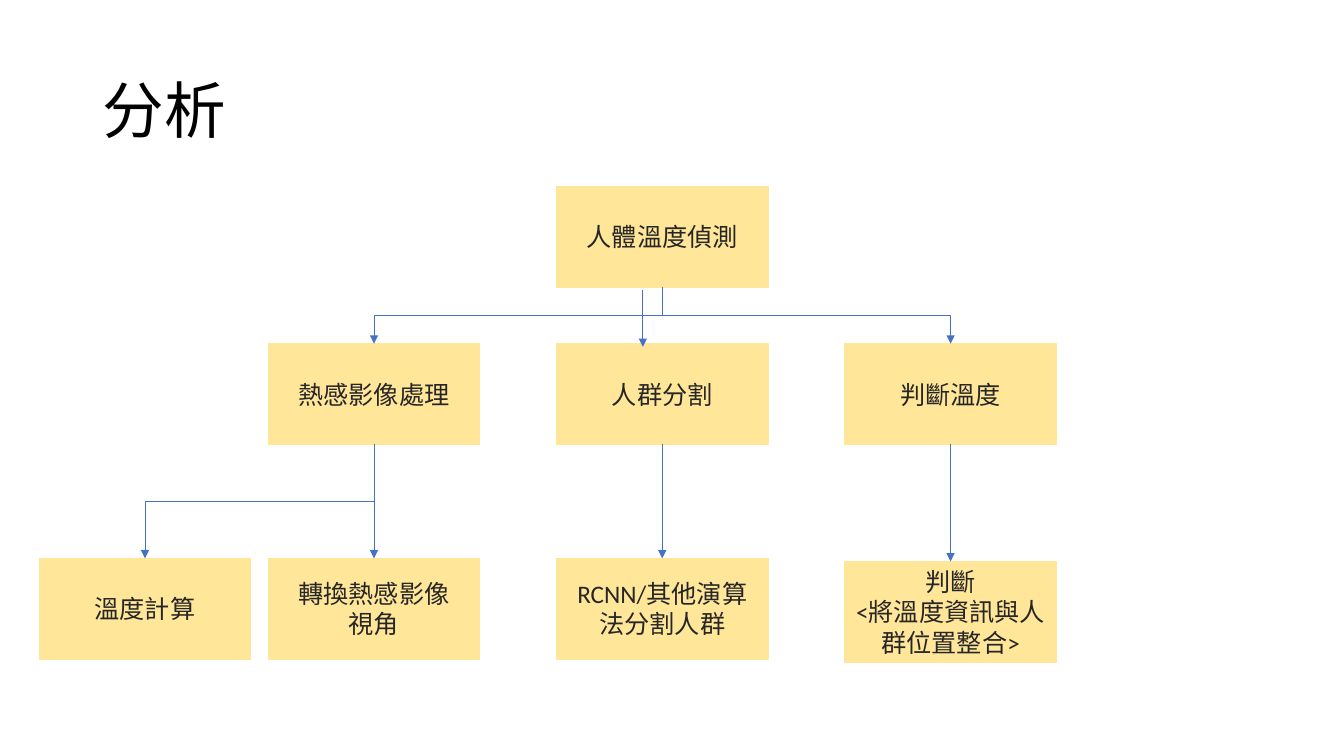
from dataclasses import dataclass

from lxml.etree import SubElement
from pptx import Presentation
from pptx.dml.color import RGBColor
from pptx.enum.shapes import MSO_CONNECTOR, MSO_SHAPE
from pptx.enum.text import MSO_ANCHOR, PP_ALIGN
from pptx.oxml.ns import qn
from pptx.util import Cm, Pt


@dataclass(frozen=True)
class Theme:
    box_fill: RGBColor = RGBColor(0xFF, 0xE6, 0x99)
    box_text: RGBColor = RGBColor(0x26, 0x26, 0x26)
    title_text: RGBColor = RGBColor(0, 0, 0)
    arrow: RGBColor = RGBColor(0x44, 0x72, 0xC4)
    title_font: str = "Noto Sans CJK SC"
    box_font: str = "Calibri"
    title_size: Pt = Pt(44)
    box_size: Pt = Pt(18)
    box_line: Pt = Pt(1)
    arrow_line: Pt = Pt(0.5)


THEME = Theme()

# Grid of the chart, in centimetres
BOX_WIDTH, BOX_HEIGHT = 5.33, 2.54
COLUMNS = [6.76 + 7.265 * index for index in range(3)]
OUTER_COLUMN = 0.99
TOP_ROW, STAGE_ROW, DETAIL_ROW = 4.7, 8.66, 14.07

# Name: (left, top, paragraphs)
BOXES = {
    "root": (COLUMNS[1], TOP_ROW, ["人體溫度偵測"]),
    "thermal": (COLUMNS[0], STAGE_ROW, ["熱感影像處理"]),
    "crowd": (COLUMNS[1], STAGE_ROW, ["人群分割"]),
    "judge": (COLUMNS[2], STAGE_ROW, ["判斷溫度"]),
    "compute": (OUTER_COLUMN, DETAIL_ROW, ["溫度計算"]),
    "convert": (COLUMNS[0], DETAIL_ROW, ["轉換熱感影像", "視角"]),
    "segment": (COLUMNS[1], DETAIL_ROW, ["RCNN/其他演算法分割人群"]),
    "merge": (COLUMNS[2], 14.15, ["判斷", "<將溫度資訊與人群位置整合>"]),
}
ELBOWS = [("root", "thermal"), ("root", "judge"), ("thermal", "compute")]
STRAIGHTS = [("thermal", "convert"), ("crowd", "segment"), ("judge", "merge")]


def apply(target, values):
    for name, value in values.items():
        setattr(target, name, value)


def add_title(page, text):
    title = page.shapes.title
    apply(title, {"left": Cm(2.33), "top": Cm(1.01), "width": Cm(29.21), "height": Cm(3.68)})
    title.text_frame.vertical_anchor = MSO_ANCHOR.MIDDLE
    para = title.text_frame.paragraphs[0]
    apply(para, {"alignment": PP_ALIGN.LEFT, "line_spacing": 0.9})
    span = para.add_run()
    span.text = text
    apply(span.font, {"size": THEME.title_size, "name": THEME.title_font})
    span.font.color.rgb = THEME.title_text
    # East Asian typeface for the Chinese characters
    SubElement(span.font._element, qn("a:ea"), typeface=THEME.title_font)


def add_box(page, left, top, lines):
    box = page.shapes.add_shape(
        MSO_SHAPE.RECTANGLE, Cm(left), Cm(top), Cm(BOX_WIDTH), Cm(BOX_HEIGHT))
    box.shadow.inherit = False
    box.fill.solid()
    box.fill.fore_color.rgb = THEME.box_fill
    box.line.color.rgb = THEME.box_fill
    box.line.width = THEME.box_line
    frame = box.text_frame
    apply(frame, {"word_wrap": True, "vertical_anchor": MSO_ANCHOR.MIDDLE})
    for index, line in enumerate(lines):
        para = frame.add_paragraph() if index else frame.paragraphs[0]
        para.alignment = PP_ALIGN.CENTER
        span = para.add_run()
        span.text = line
        apply(span.font, {"size": THEME.box_size, "name": THEME.box_font})
        span.font.color.rgb = THEME.box_text
    return box


def add_arrow(page, kind, start=(0, 0), end=(0, 0)):
    arrow = page.shapes.add_connector(kind, *start, *end)
    arrow.line.color.rgb = THEME.arrow
    arrow.line.width = THEME.arrow_line
    SubElement(arrow.line._get_or_add_ln(), qn("a:tailEnd"), type="triangle")
    SubElement(arrow._element.spPr, qn("a:effectLst"))
    return arrow


def join(page, kind, parent, child):
    """Glue an arrow from the bottom of parent to the top of child."""
    arrow = add_arrow(page, kind)
    arrow.begin_connect(parent, 2)
    arrow.end_connect(child, 0)
    return arrow


def join_elbow(page, parent, child):
    """Turn the elbow a quarter so that it leaves and arrives vertically."""
    arrow = join(page, MSO_CONNECTOR.ELBOW, parent, child)
    across = arrow.end_x - arrow.begin_x
    down = arrow.end_y - arrow.begin_y
    middle_x = arrow.begin_x + across // 2
    middle_y = arrow.begin_y + down // 2
    apply(arrow, {
        "left": middle_x - down // 2, "top": middle_y - abs(across) // 2,
        "width": down, "height": abs(across),
        "rotation": 270 if across > 0 else 90,
    })
    arrow._element.flipH = across > 0


def main():
    deck = Presentation()
    apply(deck, {"slide_width": Cm(33.87), "slide_height": Cm(19.05)})
    page = deck.slides.add_slide(deck.slide_layouts[5])
    add_title(page, "分析")

    # Boxes
    boxes = {name: add_box(page, *values) for name, values in BOXES.items()}

    # Arrows
    for parent, child in ELBOWS:
        join_elbow(page, boxes[parent], boxes[child])
    for parent, child in STRAIGHTS:
        join(page, MSO_CONNECTOR.STRAIGHT, boxes[parent], boxes[child])
    add_arrow(page, MSO_CONNECTOR.STRAIGHT, (Cm(16.2), Cm(7.32)), (Cm(16.2), Cm(8.74)))

    deck.save("out.pptx")


if __name__ == "__main__":
    main()
